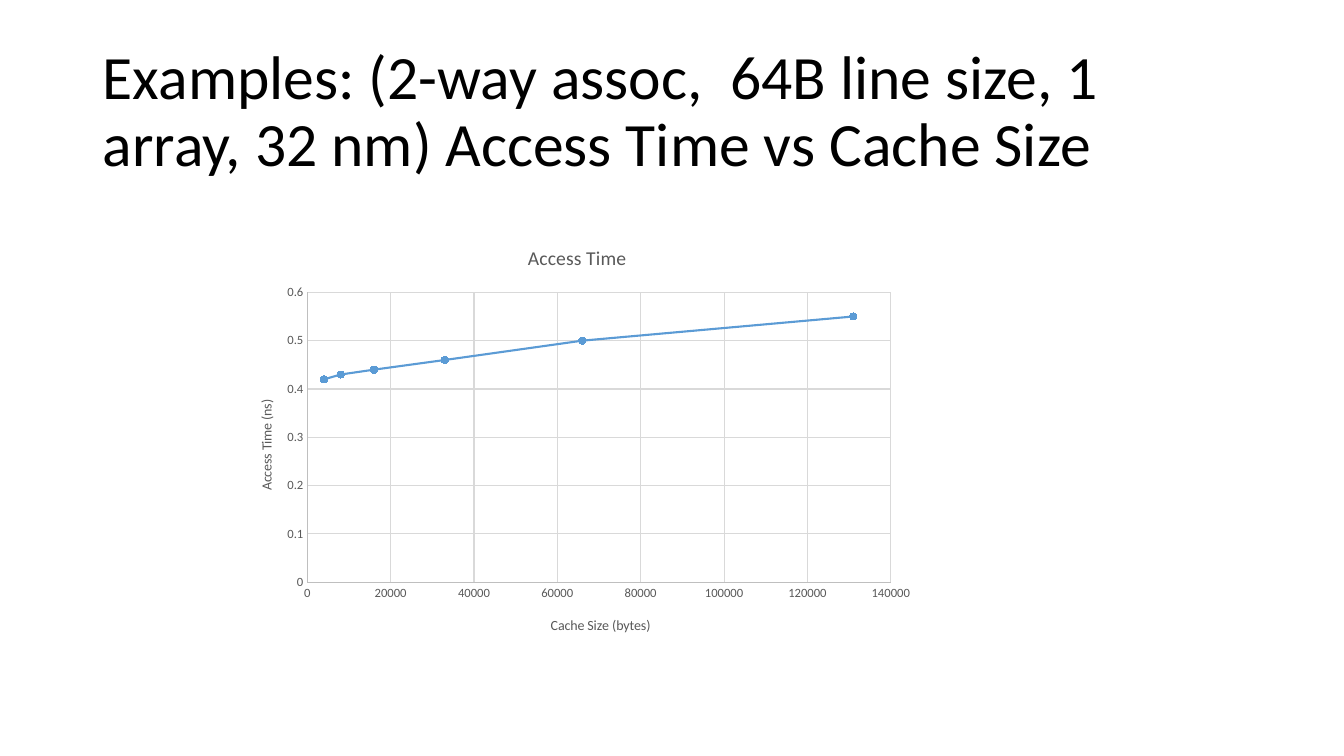
from lxml.etree import SubElement
from pptx import Presentation
from pptx.chart.data import XyChartData
from pptx.dml.color import RGBColor
from pptx.enum.chart import XL_CHART_TYPE as ChartType
from pptx.enum.chart import XL_MARKER_STYLE as Marker
from pptx.enum.chart import XL_TICK_LABEL_POSITION as LabelPosition
from pptx.enum.chart import XL_TICK_MARK as TickMark
from pptx.enum.text import MSO_ANCHOR as Anchor
from pptx.enum.text import MSO_AUTO_SIZE as AutoSize
from pptx.enum.text import PP_ALIGN as Align
from pptx.oxml.ns import qn
from pptx.util import Inches, Pt

COLORS = {"title": "000000", "label": "595959", "axis": "BFBFBF",
          "grid": "D9D9D9", "series": "5B9BD5"}
FONT = "Calibri"
TITLE_ONLY = 5

ACCESS_TIMES = [(4000, 0.42), (8000, 0.43), (16000, 0.44),
                (33000, 0.46), (66000, 0.5), (131000, 0.55)]


class SlideBuilder:
    def __init__(self, deck):
        self.deck = deck
        self.page = deck.slides.add_slide(deck.slide_layouts[TITLE_ONLY])

    def frame(self, left, top, width, height):
        """Turn shares of the slide's size into lengths."""
        across, down = self.deck.slide_width, self.deck.slide_height
        return [round(share * full) for share, full in
                zip((left, top, width, height), (across, down, across, down))]

    def style_font(self, font, size, color):
        formats = {"name": FONT, "size": Pt(size), "bold": False}
        for name, value in formats.items():
            setattr(font, name, value)
        font.color.rgb = RGBColor.from_string(COLORS[color])

    def style_line(self, line, color, width):
        line.color.rgb = RGBColor.from_string(COLORS[color])
        line.width = Pt(width)

    def place(self, element, inner=False, **shares):
        """Fix a chart part at shares of the chart's size."""
        layout = element.find(qn("c:layout"))
        if layout is None:
            layout = element.makeelement(qn("c:layout"))
            element.insert(0 if element.find(qn("c:tx")) is None else 1, layout)
        manual = SubElement(layout, qn("c:manualLayout"))
        settings = {"layoutTarget": "inner"} if inner else {}
        settings.update(xMode="edge", yMode="edge", **shares)
        for name, value in settings.items():
            SubElement(manual, qn(f"c:{name}")).set("val", str(value))

    def title(self, text, *shares):
        box = self.page.shapes.title
        box.left, box.top, box.width, box.height = self.frame(*shares)
        formats = {"word_wrap": True, "auto_size": AutoSize.NONE,
                   "vertical_anchor": Anchor.MIDDLE}
        for name, value in formats.items():
            setattr(box.text_frame, name, value)
        para = box.text_frame.paragraphs[0]
        para.alignment, para.line_spacing = Align.LEFT, 0.9
        span = para.add_run()
        span.text = text
        self.style_font(span.font, 44, "title")

    def chart_text(self, holder, text, size):
        span = holder.text_frame.paragraphs[0].add_run()
        span.text = text
        self.style_font(span.font, size, "label")

    def axis(self, axis, text, top, step, x, y, rotation=0):
        formats = {"minimum_scale": 0, "maximum_scale": top, "major_unit": step,
                   "has_major_gridlines": True, "has_minor_gridlines": False,
                   "major_tick_mark": TickMark.NONE,
                   "minor_tick_mark": TickMark.NONE,
                   "tick_label_position": LabelPosition.NEXT_TO_AXIS}
        for name, value in formats.items():
            setattr(axis, name, value)
        self.style_line(axis.format.line, "axis", 0.75)
        self.style_line(axis.major_gridlines.format.line, "grid", 0.75)
        labels = axis.tick_labels
        labels.number_format, labels.number_format_is_linked = "General", False
        self.style_font(labels.font, 9, "label")
        heading = axis.axis_title
        self.chart_text(heading, text, 10)
        heading.text_frame._txBody.bodyPr.set("rot", str(rotation * 60000))
        self.place(heading._element, x=x, y=y)

    def scatter(self, name, points, *shares):
        data = XyChartData()
        series = data.add_series(name)
        for x, y in points:
            series.add_data_point(x, y)
        chart = self.page.shapes.add_chart(
            ChartType.XY_SCATTER_LINES, *self.frame(*shares), data).chart
        chart.has_legend = False
        self.style_font(chart.font, 10, "title")
        chart.has_title = True
        self.chart_text(chart.chart_title, name, 14)
        plot = chart.plots[0]
        plot.vary_by_categories = False
        curve = plot.series[0]
        curve.smooth = False
        self.style_line(curve.format.line, "series", 1.5)
        marker = curve.marker
        marker.style, marker.size = Marker.CIRCLE, 5
        marker.format.fill.solid()
        marker.format.fill.fore_color.rgb = RGBColor.from_string(COLORS["series"])
        self.style_line(marker.format.line, "series", 0.75)
        plot_area = chart._chartSpace.chart.plotArea
        self.place(plot_area, inner=True, x=0.11, y=0.155, w=0.843, h=0.685)
        return chart


def main():
    deck = Presentation()
    deck.slide_width, deck.slide_height = Inches(13.33), Inches(7.5)
    slide = SlideBuilder(deck)
    slide.title("Examples: (2-way assoc,  64B line size, 1 array, 32 nm) "
                "Access Time vs Cache Size", 0.069, 0.053, 0.863, 0.193)
    chart = slide.scatter("Access Time", ACCESS_TIMES, 0.172, 0.3, 0.515, 0.56)
    slide.axis(chart.category_axis, "Cache Size (bytes)", 140000, 20000,
               x=0.458, y=0.915)
    slide.axis(chart.value_axis, "Access Time (ns)", 0.6, 0.1,
               x=0.034, y=0.402, rotation=-90)
    deck.save("out.pptx")


if __name__ == "__main__":
    main()
